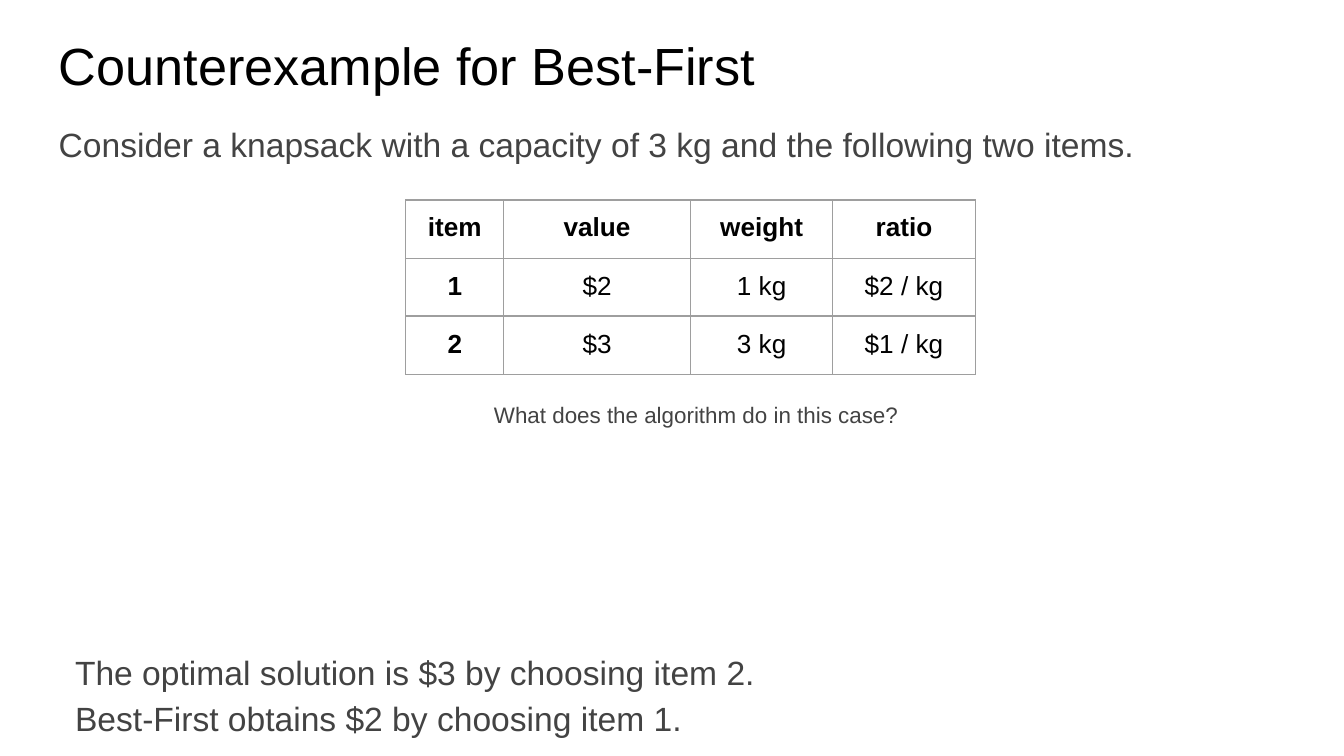
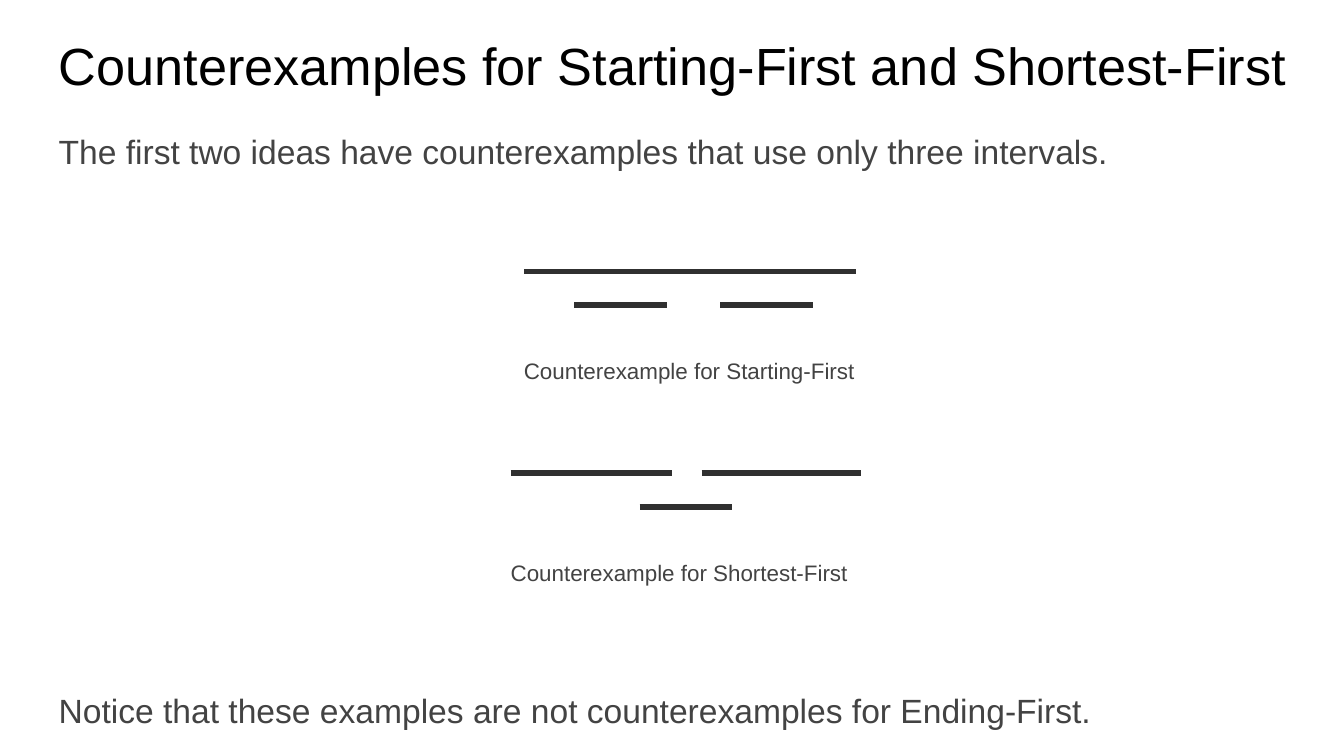
from lxml.etree import SubElement
from pptx import Presentation
from pptx.dml.color import RGBColor
from pptx.enum.shapes import MSO_CONNECTOR
from pptx.enum.text import MSO_ANCHOR, PP_ALIGN
from pptx.oxml import parse_xml
from pptx.oxml.ns import nsdecls, qn
from pptx.util import Cm, Pt

BLACK = RGBColor(0x00, 0x00, 0x00)
GREY = RGBColor(0x43, 0x43, 0x43)
INTERVAL = RGBColor(0x30, 0x30, 0x30)
BORDER = RGBColor(0x9E, 0x9E, 0x9E)
FONT = "Arial"
INSET = Cm(0.25)
MARGIN = 0.86


class Deck:
    """Holds the shared style and the slide being filled."""

    def __init__(self):
        self.presentation = Presentation()
        self.presentation.slide_width = Cm(25.4)
        self.presentation.slide_height = Cm(14.29)
        self.slide = None

    def new_slide(self, title, title_width):
        self.slide = self.presentation.slides.add_slide(self.presentation.slide_layouts[6])
        self.text(title, MARGIN, 0.38, title_width, 1.6, 28, BLACK, spacing=1.0)

    def style(self, paragraph, size, color, align, bold=False):
        paragraph.alignment = align
        for run in paragraph.runs:
            run.font.name = FONT
            run.font.size = Pt(size)
            run.font.bold = bold
            run.font.color.rgb = color

    def text(self, words, left, top, width, height, size=18, color=GREY,
             align=PP_ALIGN.LEFT, spacing=1.15):
        box = self.slide.shapes.add_textbox(Cm(left), Cm(top), Cm(width), Cm(height))
        frame = box.text_frame
        frame.word_wrap = True
        frame.vertical_anchor = MSO_ANCHOR.TOP
        frame.margin_left = frame.margin_right = INSET
        frame.margin_top = frame.margin_bottom = INSET
        frame.text = words
        for paragraph in frame.paragraphs:
            paragraph.line_spacing = spacing
            self.style(paragraph, size, color, align)

    def caption(self, words, center, top):
        width = 9.18
        self.text(words, center - width / 2, top, width, 0.69, 12, align=PP_ALIGN.CENTER)

    def table(self, rows, left, top, widths, heights):
        table = self.slide.shapes.add_table(
            len(rows), len(widths), Cm(left), Cm(top), Cm(sum(widths)), Cm(sum(heights))).table
        table.first_row = table.horz_banding = False
        for column, width in zip(table.columns, widths):
            column.width = Cm(width)
        for r, (values, height) in enumerate(zip(rows, heights)):
            table.rows[r].height = Cm(height)
            for c, value in enumerate(values):
                self.cell(table.cell(r, c), value, bold=r == 0 or c == 0)

    def cell(self, cell, value, bold):
        cell.margin_left = cell.margin_right = INSET
        cell.margin_top = cell.margin_bottom = INSET
        cell.text_frame.text = value
        self.style(cell.text_frame.paragraphs[0], 14, BLACK, PP_ALIGN.CENTER, bold)
        cell.fill.background()
        properties = cell._tc.get_or_add_tcPr()
        for position, edge in enumerate(("lnL", "lnR", "lnT", "lnB")):
            properties.insert(position, parse_xml(
                f'<a:{edge} {nsdecls("a")} w="{Pt(0.75)}"><a:solidFill>'
                f'<a:srgbClr val="{BORDER}"/></a:solidFill></a:{edge}>'))

    def diagram(self, top, intervals, caption, center):
        group = self.slide.shapes.add_group_shape()
        for start, end, level in intervals:
            y = Cm(top + 0.64 * level)
            interval = group.shapes.add_connector(
                MSO_CONNECTOR.STRAIGHT, Cm(start), y, Cm(end), y)
            interval.line.color.rgb = INTERVAL
            interval.line.width = Pt(3)
            SubElement(interval._element.spPr, qn("a:effectLst"))
        self.caption(caption, center, top + 1.3)


deck = Deck()

deck.new_slide("Counterexample for Best-First", 23.67)
deck.text("Consider a knapsack with a capacity of 3 kg and the following two items.",
          MARGIN, 1.98, 23.98, 1.32)
deck.caption("What does the algorithm do in this case?", 13.16, 7.26)
deck.text("The optimal solution is $3 by choosing item 2.\n"
          "Best-First obtains $2 by choosing item 1.", 1.17, 11.96, 23.67, 1.98)
deck.table([("item", "value", "weight", "ratio"),
            ("1", "$2", "1 kg", "$2 / kg"),
            ("2", "$3", "3 kg", "$1 / kg")],
           7.67, 3.78, (1.85, 3.53, 2.69, 2.69), (1.1, 0.92, 1.1))

deck.new_slide("Counterexamples for Starting-First and Shortest-First", 24.54)
deck.text("The first two ideas have counterexamples that use only three intervals.",
          MARGIN, 2.11, 24.16, 1.19)
deck.diagram(5.13, [(9.91, 16.18, 0), (10.85, 12.6, 1), (13.61, 15.37, 1)],
             "Counterexample for Starting-First", 13.03)
deck.diagram(8.94, [(9.65, 12.7, 0), (12.09, 13.84, 1), (13.26, 16.28, 0)],
             "Counterexample for Shortest-First", 12.84)
deck.text("Notice that these examples are not counterexamples for Ending-First.",
          MARGIN, 12.67, 24.16, 1.19)

deck.presentation.save("out.pptx")
